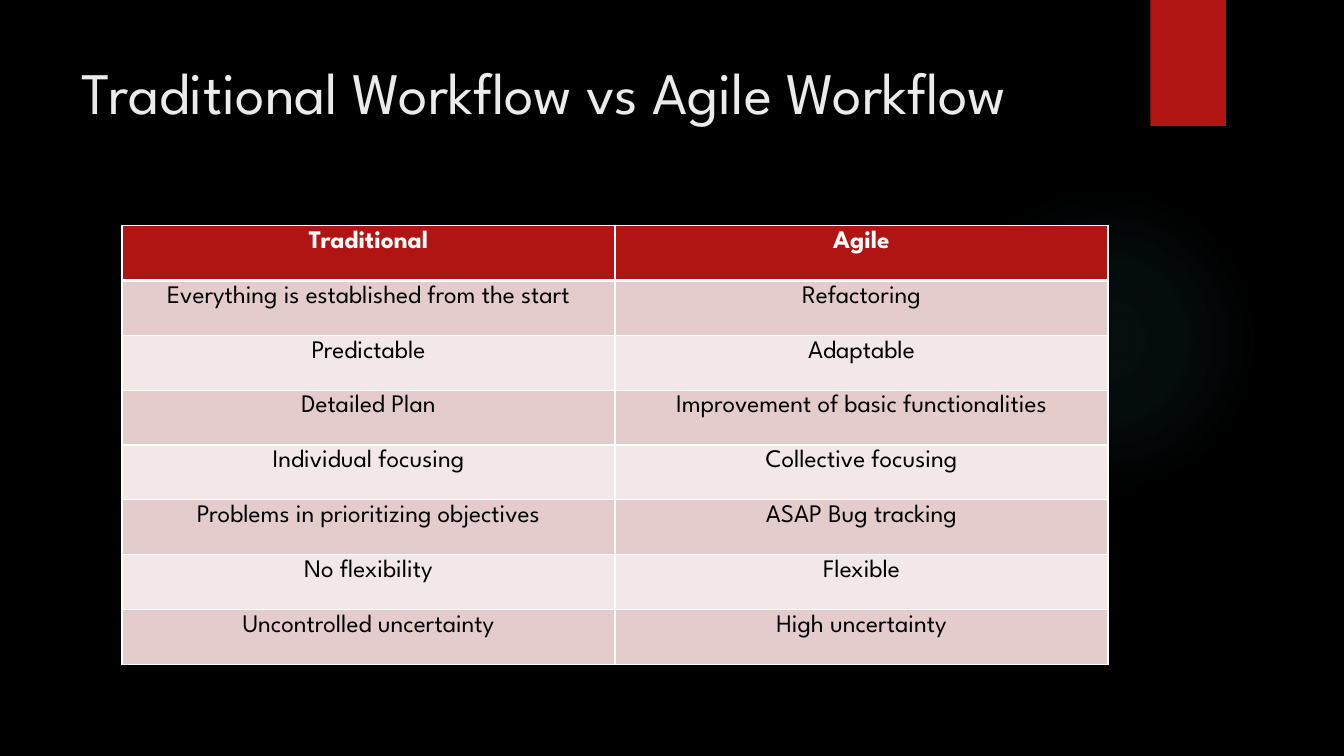
import pptx
import pptx.dml.color
import pptx.enum.shapes
import pptx.enum.text
import pptx.oxml
import pptx.oxml.ns
import pptx.util

PX = 9144  # 100 px to the inch
RED, WHITE, BLACK, GLOW = "B01513", "FFFFFF", "000000", "50B9C1"
BANDS = ["E4CCCC", "F2E8E7"]
ROWS = [
    ("Traditional", "Agile"),
    ("Everything is established from the start", "Refactoring"),
    ("Predictable", "Adaptable"),
    ("Detailed Plan", "Improvement of basic functionalities"),
    ("Individual focusing", "Collective focusing"),
    ("Problems in prioritizing objectives", "ASAP Bug tracking"),
    ("No flexibility", "Flexible"),
    ("Uncontrolled uncertainty", "High uncertainty"),
]


def rgb(color):
    return pptx.dml.color.RGBColor.from_string(color)


def px(*lengths):
    return [pptx.util.Emu(length * PX) for length in lengths]


class SlideBuilder:
    font = "League Spartan"

    def __init__(self, presentation):
        self.slide = presentation.slides.add_slide(presentation.slide_layouts[5])
        self.fill(self.slide.background, BLACK)

    def fill(self, target, color):
        target.fill.solid()
        target.fill.fore_color.rgb = rgb(color)

    def style(self, paragraph, size, color, bold=False):
        for run in paragraph.runs:
            run.font.name = self.font
            run.font.size = pptx.util.Pt(size)
            run.font.bold = bold
            run.font.color.rgb = rgb(color)

    def title(self, text, box, size, color):
        title = self.slide.shapes.title
        title.left, title.top, title.width, title.height = px(*box)
        frame = title.text_frame
        frame.text = text
        frame.word_wrap = True
        frame.auto_size = pptx.enum.text.MSO_AUTO_SIZE.NONE
        frame.vertical_anchor = pptx.enum.text.MSO_ANCHOR.TOP
        paragraph = frame.paragraphs[0]
        paragraph.alignment = pptx.enum.text.PP_ALIGN.LEFT
        self.style(paragraph, size, color)

    def shape(self, kind, box, color):
        shape = self.slide.shapes.add_shape(kind, *px(*box))
        shape.shadow.inherit = False
        shape.line.fill.background()
        self.fill(shape, color)
        return shape

    def glow(self, box, color, stops):
        """Add a circle fading outwards; stops are (position, opacity) in percent."""
        circle = self.shape(pptx.enum.shapes.MSO_SHAPE.OVAL, box, color)
        stop_xml = "".join(
            f'<a:gs pos="{position * 1000}"><a:srgbClr val="{color}">'
            f'<a:alpha val="{opacity * 1000}"/></a:srgbClr></a:gs>'
            for position, opacity in stops
        )
        gradient = pptx.oxml.parse_xml(
            f'<a:gradFill {pptx.oxml.ns.nsdecls("a")}><a:gsLst>{stop_xml}</a:gsLst>'
            '<a:path path="circle"><a:fillToRect l="50000" t="50000" r="50000" b="50000"/>'
            "</a:path></a:gradFill>"
        )
        properties = circle._element.spPr
        solid = properties.find(pptx.oxml.ns.qn("a:solidFill"))
        properties.replace(solid, gradient)

    def borders(self, cell, color, top=1, bottom=1):
        properties = cell._tc.get_or_add_tcPr()
        widths = {"L": 1, "R": 1, "T": top, "B": bottom}
        for index, (side, width) in enumerate(widths.items()):
            line = pptx.oxml.parse_xml(
                f'<a:ln{side} {pptx.oxml.ns.nsdecls("a")} w="{pptx.util.Pt(width)}">'
                f'<a:solidFill><a:srgbClr val="{color}"/></a:solidFill></a:ln{side}>'
            )
            properties.insert(index, line)

    def table(self, rows, box, size):
        frame = self.slide.shapes.add_table(len(rows), len(rows[0]), *px(*box))
        for row_index, row in enumerate(rows):
            header = row_index == 0
            for column_index, text in enumerate(row):
                cell = frame.table.cell(row_index, column_index)
                cell.text = text
                paragraph = cell.text_frame.paragraphs[0]
                paragraph.alignment = pptx.enum.text.PP_ALIGN.CENTER
                self.style(paragraph, size, WHITE if header else BLACK, header)
                self.fill(cell, RED if header else BANDS[(row_index - 1) % 2])
                self.borders(cell, WHITE, top=3 if row_index == 1 else 1,
                             bottom=3 if header else 1)


def main():
    presentation = pptx.Presentation()
    presentation.slide_width, presentation.slide_height = px(1333, 750)
    builder = SlideBuilder(presentation)
    builder.glow((941, 183, 308, 308), GLOW, [(0, 7), (36, 6), (69, 0)])
    builder.shape(pptx.enum.shapes.MSO_SHAPE.RECTANGLE, (1141, 0, 75, 125), RED)
    builder.title("Traditional Workflow vs Agile Workflow", (71, 50, 1029, 153), 42, "EBEBEB")
    builder.table(ROWS, (121, 224, 978, 435), 18)
    presentation.save("out.pptx")


if __name__ == "__main__":
    main()
